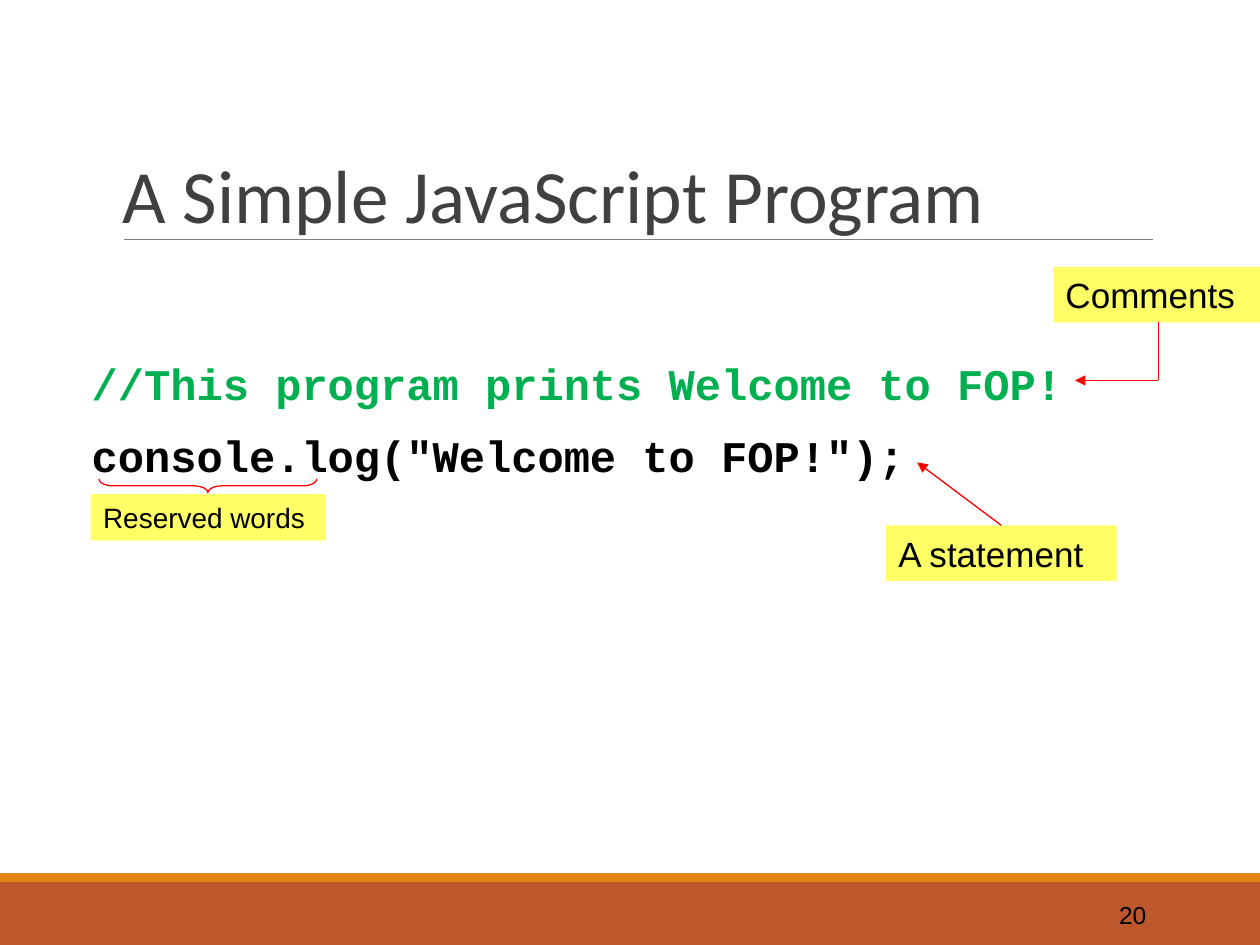
from typing import NamedTuple, Optional

import pptx
import pptx.dml.color
import pptx.enum.shapes
import pptx.enum.text
import pptx.oxml
import pptx.oxml.ns
import pptx.util
from pptx.dml.color import RGBColor
from pptx.util import Cm

WHITE = RGBColor(0xFF, 0xFF, 0xFF)
BLACK = RGBColor(0x00, 0x00, 0x00)
RED = RGBColor(0xFF, 0x00, 0x00)
YELLOW = RGBColor(0xFF, 0xFF, 0x66)
GREEN = RGBColor(0x00, 0xB0, 0x50)
RUST = RGBColor(0xBD, 0x58, 0x2C)
ORANGE = RGBColor(0xE4, 0x83, 0x12)
DARK_GREY = RGBColor(0x40, 0x40, 0x40)
MID_GREY = RGBColor(0x7F, 0x7F, 0x7F)

TOP, BOTTOM = 0, 2
ANCHOR = pptx.enum.text.MSO_ANCHOR
ALIGN = pptx.enum.text.PP_ALIGN
SHAPE = pptx.enum.shapes.MSO_SHAPE


class Box(NamedTuple):
    left: float
    top: float
    width: float
    height: float

    def lengths(self) -> list:
        return [Cm(value) for value in self]


class Point(NamedTuple):
    x: float
    y: float


class Label(NamedTuple):
    text: str
    box: Box
    size: int


class CodeLine(NamedTuple):
    text: str
    color: RGBColor


COMMENTS = Label("Comments", Box(21.23, 5.38, 4.24, 1.12), 20)
RESERVED_WORDS = Label("Reserved words", Box(1.83, 9.96, 4.72, 0.94), 16)
STATEMENT = Label("A statement", Box(17.86, 10.59, 4.65, 1.12), 20)
CODE_LINES = [
    CodeLine("//This program prints Welcome to FOP!", GREEN),
    CodeLine('console.log("Welcome to FOP!");', BLACK),
]


def format_runs(paragraph, name: str, size: int, color: RGBColor, bold: bool = False) -> None:
    for run in paragraph.runs:
        run.font.name = name
        run.font.size = pptx.util.Pt(size)
        run.font.color.rgb = color
        run.font.bold = bold


def add_rectangle(slide, box: Box, color: RGBColor):
    shape = slide.shapes.add_shape(SHAPE.RECTANGLE, *box.lengths())
    shape.shadow.inherit = False
    shape.fill.solid()
    shape.fill.fore_color.rgb = color
    shape.line.fill.background()
    return shape


def add_label(slide, label: Label):
    shape = add_rectangle(slide, label.box, YELLOW)
    text_frame = shape.text_frame
    text_frame.text = label.text
    text_frame.vertical_anchor = ANCHOR.MIDDLE
    paragraph = text_frame.paragraphs[0]
    paragraph.alignment = ALIGN.LEFT
    format_runs(paragraph, "Arial", label.size, BLACK)
    return shape


def add_line(slide, start: Point, end: Point, color: RGBColor = RED,
             width: float = 0.75, arrow: bool = False,
             joined_shape=None, site: Optional[int] = None):
    connector = slide.shapes.add_connector(
        pptx.enum.shapes.MSO_CONNECTOR.STRAIGHT,
        Cm(start.x), Cm(start.y), Cm(end.x), Cm(end.y))
    connector.line.color.rgb = color
    connector.line.width = pptx.util.Pt(width)
    if joined_shape is not None:
        connector.begin_connect(joined_shape, site)
    if arrow:
        head = pptx.oxml.parse_xml(
            f'<a:tailEnd {pptx.oxml.ns.nsdecls("a")} type="triangle"/>')
        connector.line._get_or_add_ln().append(head)
    connector._element.spPr.append(
        pptx.oxml.parse_xml(f'<a:effectLst {pptx.oxml.ns.nsdecls("a")}/>'))
    return connector


def add_title(slide) -> None:
    title = slide.shapes.title
    title.left, title.top, title.width, title.height = Box(2.21, 3.25, 21.59, 1.7).lengths()
    text_frame = title.text_frame
    text_frame.text = "A Simple JavaScript Program"
    text_frame.auto_size = pptx.enum.text.MSO_AUTO_SIZE.NONE
    text_frame.vertical_anchor = ANCHOR.BOTTOM
    paragraph = text_frame.paragraphs[0]
    paragraph.alignment = ALIGN.LEFT
    paragraph.line_spacing = 0.85
    format_runs(paragraph, "Calibri", 43, DARK_GREY)


def add_code(slide) -> None:
    text_frame = slide.shapes.add_textbox(*Box(1.6, 5.79, 21.74, 11.68).lengths()).text_frame
    text_frame.word_wrap = True
    text_frame.margin_top = Cm(1.52)
    text_frame.text = "\n".join(line.text for line in CODE_LINES)
    for paragraph, line in zip(text_frame.paragraphs, CODE_LINES):
        paragraph.line_spacing = 0.9
        paragraph.space_after = pptx.util.Pt(14.5)
        format_runs(paragraph, "Courier New", 25, line.color, bold=True)


def add_slide_number(slide) -> None:
    text_frame = slide.shapes.add_textbox(*Box(20.62, 17.93, 2.74, 1.02).lengths()).text_frame
    text_frame.word_wrap = True
    text_frame.vertical_anchor = ANCHOR.MIDDLE
    text_frame.text = "20"
    paragraph = text_frame.paragraphs[0]
    paragraph.alignment = ALIGN.RIGHT
    format_runs(paragraph, "Arial", 14, BLACK)


def add_brace(slide) -> None:
    brace = slide.shapes.add_shape(SHAPE.RIGHT_BRACE, *Box(4.05, 7.6, 0.28, 4.39).lengths())
    brace.rotation = 90
    brace.adjustments[0] = 1.0
    brace.shadow.inherit = False
    brace.fill.background()
    brace.line.color.rgb = RED
    brace.line.width = pptx.util.Pt(0.75)


def main() -> None:
    presentation = pptx.Presentation()
    presentation.slide_width = Cm(25.4)
    presentation.slide_height = Cm(19.05)
    slide = presentation.slides.add_slide(presentation.slide_layouts[5])
    slide.background.fill.solid()
    slide.background.fill.fore_color.rgb = WHITE

    add_rectangle(slide, Box(0, 17.78, 25.4, 1.27), RUST)
    add_rectangle(slide, Box(0, 17.6, 25.4, 0.18), ORANGE)
    add_line(slide, Point(2.49, 4.83), Point(23.24, 4.83), MID_GREY, 0.5)
    add_title(slide)
    add_code(slide)
    add_slide_number(slide)

    comments = add_label(slide, COMMENTS)
    corner = Point(23.35, 7.67)
    add_line(slide, Point(23.35, 6.5), corner, joined_shape=comments, site=BOTTOM)
    add_line(slide, corner, Point(21.67, 7.67), arrow=True)

    add_label(slide, RESERVED_WORDS)
    add_brace(slide)

    statement = add_label(slide, STATEMENT)
    add_line(slide, Point(20.19, 10.59), Point(18.49, 9.32), arrow=True,
             joined_shape=statement, site=TOP)

    presentation.save("out.pptx")


if __name__ == "__main__":
    main()
